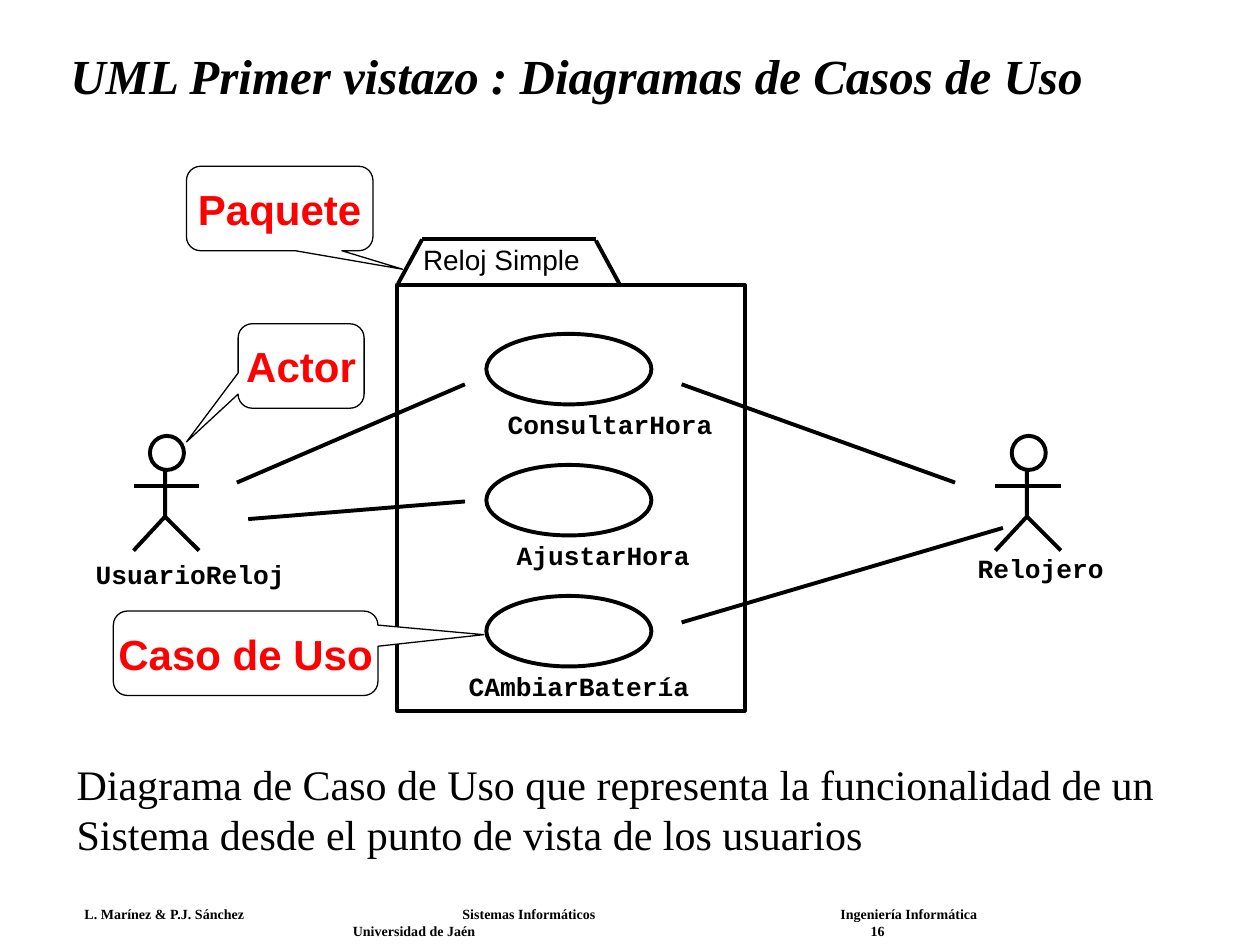
"""Build a slide introducing UML use case diagrams with a simple clock example."""
import pptx
import pptx.util
import pptx.dml.color
import pptx.enum.shapes
import pptx.enum.text
import lxml.etree

COLORS = {"ink": "000000", "callout": "FF0000", "paper": "FFFFFF"}
SHAPE = pptx.enum.shapes.MSO_SHAPE
STRAIGHT = pptx.enum.shapes.MSO_CONNECTOR.STRAIGHT
ALIGN = pptx.enum.text.PP_ALIGN
ANCHOR = pptx.enum.text.MSO_ANCHOR
DRAWING = "{http://schemas.openxmlformats.org/drawingml/2006/main}"

deck = pptx.Presentation()
deck.slide_width = pptx.util.Inches(10)
deck.slide_height = pptx.util.Inches(7.5)
COLUMN = deck.slide_width / 100
ROW = deck.slide_height / 75
slide = deck.slides.add_slide(deck.slide_layouts[6])
canvas = slide.shapes


def cells(*spans):
    return [round(span * (ROW if i % 2 else COLUMN)) for i, span in enumerate(spans)]


def write(frame, text, font="Times New Roman", size=24, color="ink", bold=False,
          italic=False, align=ALIGN.LEFT, anchor=ANCHOR.TOP, insets=(1, 0.5),
          wrap=False, spacing=None, tabs=()):
    frame.word_wrap = wrap
    frame.vertical_anchor = anchor
    side, edge = cells(*insets)
    frame.margin_left = frame.margin_right = side
    frame.margin_top = frame.margin_bottom = edge
    frame.text = text
    for number, paragraph in enumerate(frame.paragraphs):
        paragraph.alignment = align
        paragraph.line_spacing = spacing
        if tabs:
            stops = lxml.etree.SubElement(paragraph._p.get_or_add_pPr(), DRAWING + "tabLst")
            for stop in tabs[number]:
                lxml.etree.SubElement(stops, DRAWING + "tab", pos=str(cells(stop)[0]), algn="l")
        for run in paragraph.runs:
            run.font.name = font
            run.font.size = pptx.util.Pt(size)
            run.font.bold = bold
            run.font.italic = italic
            run.font.color.rgb = pptx.dml.color.RGBColor.from_string(COLORS[color])


footer = canvas.add_textbox(*cells(5.9, 71.5, 86.5, 3.4))
write(footer.text_frame,
      "L. Marínez & P.J. Sánchez\tSistemas Informáticos\tIngeniería Informática\n"
      "\tUniversidad de Jaén\t16",
      size=8, bold=True, insets=(0.8, 0.4), wrap=True, tabs=[(30, 60), (21.3, 62.4)])

title = canvas.add_textbox(*cells(4.6, 2.4, 89.2, 7.7))
write(title.text_frame, "UML Primer vistazo : Diagramas de Casos de Uso", size=28,
      bold=True, italic=True, anchor=ANCHOR.MIDDLE, wrap=True, spacing=0.9)

outlines = []
strokes = []
labels = []

for name, left, label_left, label_top, label_width in [
        ("UsuarioReloj", 10.6, 7.6, 44.3, 15), ("Relojero", 79, 77.6, 43.8, 10)]:
    actor = canvas.add_group_shape().shapes
    body = actor.build_freeform(*cells(left + 2.5, 36.5))
    body.add_line_segments([cells(left + 2.5, 41), cells(left, 43.7)], close=False)
    outlines.append((body.convert_to_shape(), 2.25, None))
    for limb in [(left + 2.5, 41, left + 5.2, 43.7), (left, 38.55, left + 5.2, 38.55)]:
        strokes.append(actor.add_connector(STRAIGHT, *cells(*limb)))
    head = actor.add_shape(SHAPE.OVAL, *cells(left + 1.3, 34.6, 2.7, 2.7))
    outlines.append((head, 2.25, "paper"))
    labels.append((name, label_left, label_top, label_width))

package = canvas.add_shape(SHAPE.RECTANGLE, *cells(31.5, 22.6, 27.6, 33.8))
outlines.append((package, 2.25, None))

for row, (name, label_left, label_width) in enumerate([
        ("ConsultarHora", 40.3, 16.3), ("AjustarHora", 41, 13.8), ("CAmbiarBatería", 37.2, 17.5)]):
    top = 26.5 + 10.4 * row
    use_case = canvas.add_shape(SHAPE.OVAL, *cells(38.6, top, 13.1, 5.6))
    outlines.append((use_case, 2.25, None))
    labels.append((name, label_left, top + 5.9, label_width))

for name, left, top, width in labels:
    label = canvas.add_textbox(*cells(left, top, width, 2.5))
    write(label.text_frame, name, font="Courier New", size=15, bold=True, insets=(0, 0))

for term, left, top, width, tip in [
        ("Actor", 18.9, 25.7, 10, (-0.91, 0.9)),
        ("Caso de Uso", 9, 48.5, 21, (0.9, -0.22)),
        ("Paquete", 14.8, 13.2, 14.8, (0.66, 0.72))]:
    callout = canvas.add_shape(SHAPE.ROUNDED_RECTANGULAR_CALLOUT, *cells(left, top, width, 6.7))
    callout.adjustments[0], callout.adjustments[1] = tip
    outlines.append((callout, 0.75, "paper"))
    write(callout.text_frame, term, font="Arial", color="callout", bold=True,
          align=ALIGN.CENTER, anchor=ANCHOR.MIDDLE)

package_name = canvas.add_textbox(*cells(32.6, 18.8, 16, 3.7))
write(package_name.text_frame, "Reloj Simple", font="Arial", size=16)

summary = canvas.add_textbox(*cells(5.1, 59.7, 90, 9))
write(summary.text_frame, "Diagrama de Caso de Uso que representa la funcionalidad de un\n"
      "Sistema desde el punto de vista de los usuarios")

associations = [(18.8, 38.3, 36.9, 30.5), (19.7, 41.2, 36.9, 39.8),
                (54.1, 49.4, 79.6, 41.9), (54.1, 30.5, 75.8, 38.3)]
package_tab = [(31.6, 22.5, 33.5, 19), (33.5, 19, 47.3, 19), (49.2, 22.6, 47.3, 19.1)]
for ends in associations + package_tab:
    strokes.append(canvas.add_connector(STRAIGHT, *cells(*ends)))

for outlined, weight, fill in outlines:
    outlined.shadow.inherit = False
    if fill:
        outlined.fill.solid()
        outlined.fill.fore_color.rgb = pptx.dml.color.RGBColor.from_string(COLORS[fill])
    else:
        outlined.fill.background()
    outlined.line.width = pptx.util.Pt(weight)
    outlined.line.color.rgb = pptx.dml.color.RGBColor.from_string(COLORS["ink"])

for stroke in strokes:
    stroke.line.width = pptx.util.Pt(2.25)
    stroke.line.color.rgb = pptx.dml.color.RGBColor.from_string(COLORS["ink"])
    lxml.etree.SubElement(stroke._element.spPr, DRAWING + "effectLst")

deck.save("out.pptx")
